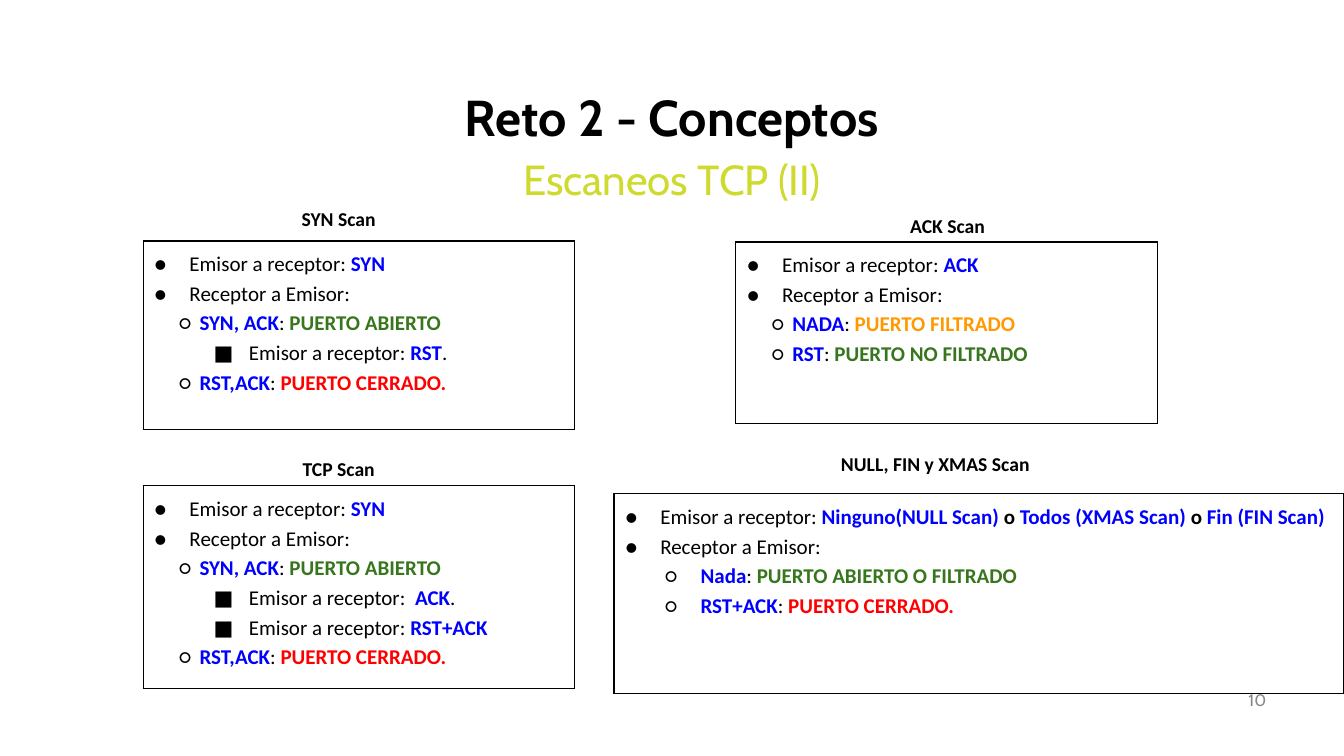
from lxml.etree import SubElement as Sub
from pptx import Presentation
from pptx.dml.color import RGBColor
from pptx.enum.text import MSO_ANCHOR as Anchor, MSO_AUTO_SIZE as Auto, PP_ALIGN as Align
from pptx.oxml.ns import qn
from pptx.util import Inches, Pt

BLACK, BLUE, GREEN, RED = "000000", "0000FF", "38761D", "FF0000"
ORANGE, LIME, GREY = "FF9900", "CEDA2E", "888888"
BULLETS = "●○■"
NARROW = ((0.39, -0.35), (0.49, -0.2), (0.98, -0.35))
WIDE = ((0.39, -0.35), (0.79, -0.35))

SEND = "Emisor a receptor: "
REPLY = (0, "Receptor a Emisor:")
OPEN = (1, ("SYN, ACK", BLUE), ": ", ("PUERTO ABIERTO", GREEN))
CLOSED = (1, ("RST,ACK", BLUE), ": ", ("PUERTO CERRADO.", RED))

SCANS = [
    ("SYN Scan", (14.93, 26, 20.55, 5.87), (10.65, 31.87, 32.1, 24.93), NARROW, [
        (0, SEND, ("SYN", BLUE)), REPLY, OPEN,
        (2, SEND, ("RST", BLUE), "."), CLOSED]),
    ("TCP Scan", (14.93, 59.07, 20.55, 5.87), (10.65, 64.27, 32.1, 26.8), NARROW, [
        (0, SEND, ("SYN", BLUE)), REPLY, OPEN,
        (2, SEND, (" ACK", BLUE), "."),
        (2, SEND, ("RST+ACK", BLUE)), CLOSED]),
    ("ACK Scan", (60.23, 26.93, 20.55, 5.87), (54.75, 32, 31.35, 24), NARROW, [
        (0, SEND, ("ACK", BLUE)), REPLY,
        (1, ("NADA", BLUE), ": ", ("PUERTO FILTRADO", ORANGE)),
        (1, ("RST", BLUE), ": ", ("PUERTO NO FILTRADO", GREEN))]),
    ("NULL, FIN y XMAS Scan", (57.3, 58.4, 24.6, 5.87), (45.68, 65.33, 54.3, 26.4), WIDE, [
        (0, SEND, ("Ninguno(NULL Scan) ", BLUE), ("o ", BLACK),
         ("Todos (XMAS Scan) ", BLUE), ("o ", BLACK), ("Fin (FIN Scan)", BLUE)),
        REPLY,
        (1, ("Nada", BLUE), ": ", ("PUERTO ABIERTO O FILTRADO", GREEN)),
        (1, ("RST+ACK", BLUE), ": ", ("PUERTO CERRADO.", RED))]),
]


def rgb(value):
    """Turn a hex string into a colour."""
    return RGBColor.from_string(value)


class Deck:
    """Hold the style and the current slide; boxes are percentages of its size."""

    head, text = "Cabin", "Calibri"

    def __init__(self):
        """Open a widescreen presentation with one title-and-content slide."""
        self.prs = Presentation()
        self.prs.slide_width, self.prs.slide_height = Inches(13.333), Inches(7.5)
        self.s = self.prs.slides.add_slide(self.prs.slide_layouts[1])

    def place(self, box):
        """Convert a box in percentages to slide lengths."""
        sizes = (self.prs.slide_width, self.prs.slide_height) * 2
        return [round(share * size / 100) for share, size in zip(box, sizes)]

    def font(self, font, name, size, color, bold=False):
        """Apply one type style."""
        font.name, font.size, font.bold = name, Pt(size), bold
        font.color.rgb = rgb(color)

    def line(self, sp, text, align, anchor, inset, *style):
        """Fill a shape with a single styled line."""
        tf = sp.text_frame
        tf.text, tf.word_wrap, tf.auto_size = text, True, Auto.NONE
        tf.vertical_anchor = anchor
        tf.margin_left = tf.margin_right = Inches(0.1)
        tf.margin_top = tf.margin_bottom = Inches(inset)
        p = tf.paragraphs[0]
        p.alignment = align
        self.font(p.font, *style)
        return p

    def holder(self, index, box, text, anchor, *style):
        """Move and fill a template placeholder."""
        sp = self.s.placeholders[index]
        sp.left, sp.top, sp.width, sp.height = self.place(box)
        return self.line(sp, text, Align.CENTER, anchor, 0.05, *style)

    def subtitle(self, box, text):
        """Fill the body placeholder with one unbulleted line."""
        p = self.holder(1, box, text, Anchor.TOP, self.head, 30, LIME)
        p.space_before = Pt(6)
        pPr = p._p.get_or_add_pPr()
        pPr.set("marL", "0")
        pPr.set("indent", "0")
        pPr.insert_element_before(pPr.makeelement(qn("a:buNone")), "a:defRPr")

    def label(self, box, text, align, inset, *style):
        """Add a text box with one line."""
        sp = self.s.shapes.add_textbox(*self.place(box))
        anchor = Anchor.MIDDLE if align == Align.RIGHT else Anchor.TOP
        self.line(sp, text, align, anchor, inset, *style)

    def bullet(self, p, level, indents):
        """Give a paragraph its level, indent and bullet sign."""
        p.level = level
        left, first = indents[level]
        pPr = p._p.get_or_add_pPr()
        pPr.set("marL", str(Inches(left)))
        pPr.set("indent", str(Inches(first)))
        Sub(Sub(pPr, qn("a:buClr")), qn("a:srgbClr"), val=BLACK)
        Sub(pPr, qn("a:buFont"), typeface=self.text)
        Sub(pPr, qn("a:buChar"), char=BULLETS[level])

    def border(self, cell):
        """Draw a thin black line on all four sides of a cell."""
        tcPr = cell._tc.get_or_add_tcPr()
        for side in ("a:lnL", "a:lnR", "a:lnT", "a:lnB"):
            ln = Sub(tcPr, qn(side), w=str(Pt(1)))
            Sub(Sub(ln, qn("a:solidFill")), qn("a:srgbClr"), val=BLACK)
        cell.fill.background()

    def panel(self, box, indents, items):
        """Add a one-cell table with a multilevel list."""
        table = self.s.shapes.add_table(1, 1, *self.place(box)).table
        table.first_row = table.horz_banding = False
        cell = table.cell(0, 0)
        self.border(cell)
        cell.margin_left = cell.margin_right = Inches(0.07)
        cell.margin_top = cell.margin_bottom = Inches(0.07)
        tf = cell.text_frame
        for i, (level, *runs) in enumerate(items):
            p = tf.add_paragraph() if i else tf.paragraphs[0]
            self.bullet(p, level, indents)
            p.line_spacing, p.space_before = 1.15, Pt(0 if i else 6)
            self.font(p.font, self.text, 15, BLACK)
            for run in runs:
                r = p.add_run()
                if isinstance(run, str):
                    r.text = run
                else:
                    r.text, color = run
                    r.font.bold, r.font.color.rgb = True, rgb(color)


def main():
    """Build the slide and save it."""
    deck = Deck()
    deck.holder(0, (5, 11.2, 90, 8.4), "Reto 2 - Conceptos", Anchor.MIDDLE,
                deck.head, 36, BLACK, True)
    deck.subtitle((5.1, 19.6, 89.8, 6.27), "Escaneos TCP (II)")
    deck.label((71.63, 89.87, 23.33, 5.33), "10", Align.RIGHT, 0.05, deck.head, 12, GREY)
    for name, label_box, panel_box, indents, items in SCANS:
        deck.panel(panel_box, indents, items)
        deck.label(label_box, name, Align.CENTER, 0.1, deck.text, 14, BLACK, True)
    deck.prs.save("out.pptx")


if __name__ == "__main__":
    main()
